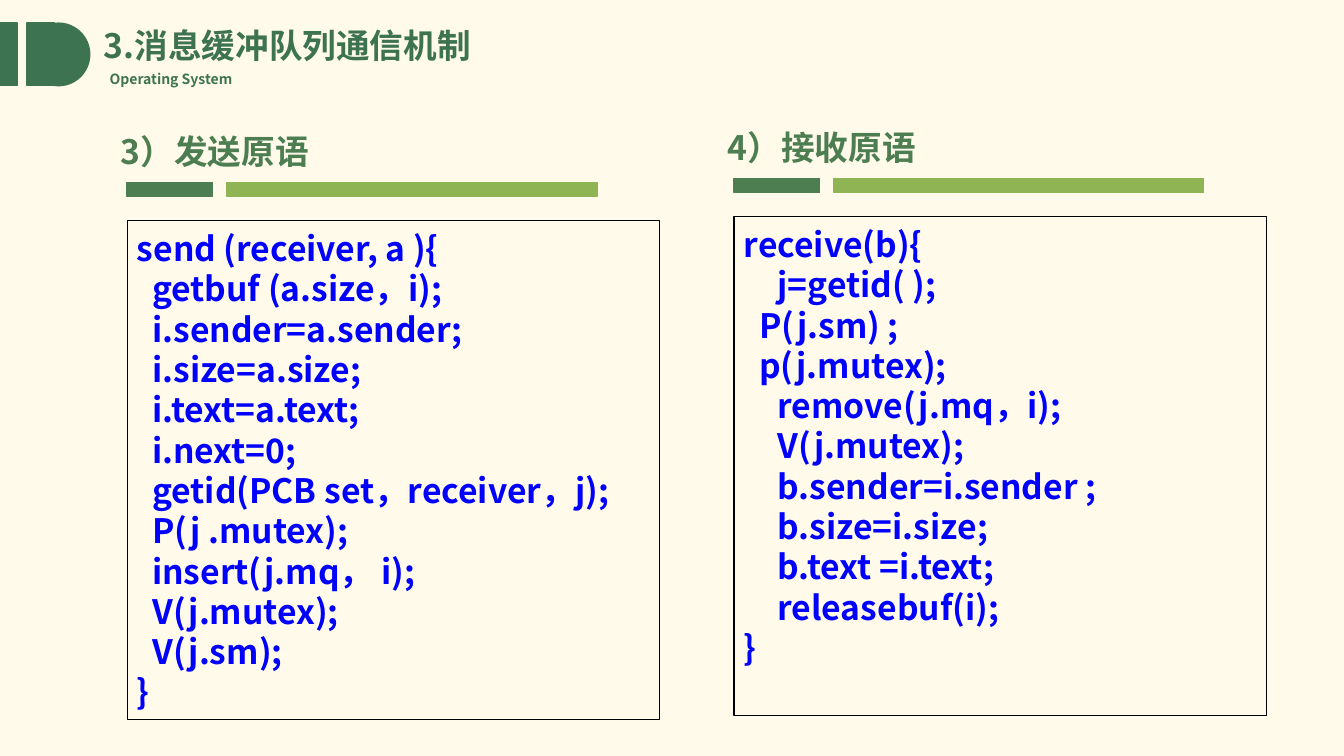
from pptx import Presentation
from pptx.dml.color import RGBColor
from pptx.enum.shapes import MSO_SHAPE as Kind
from pptx.enum.text import MSO_ANCHOR as Anchor, PP_ALIGN as Align
from pptx.oxml.ns import qn
from pptx.util import Emu, Pt

FONT = "Noto Sans CJK SC"
CREAM, PINE, LEAF, LIME = "FFFAEA", "3D7351", "4C7E51", "8EB453"
BLUE, BLACK = "0000FF", "000000"

SEND = """send (receiver, a ){
  getbuf (a.size，i);
  i.sender=a.sender;
  i.size=a.size;
  i.text=a.text;
  i.next=0;
  getid(PCB set，receiver，j);
  P(j .mutex);
  insert(j.mq， i);
  V(j.mutex);
  V(j.sm);
}"""
RECEIVE = """receive(b){
　j=getid( );
  P(j.sm) ;
  p(j.mutex);
　remove(j.mq，i);
　V(j.mutex);
　b.sender=i.sender ;
　b.size=i.size;
　b.text =i.text;
　releasebuf(i);
}"""


def px(n):
    """Length in EMU, at 100 px to the inch."""
    return Emu(n * 9144)


def paint(fill, color):
    fill.solid()
    fill.fore_color.rgb = RGBColor.from_string(color)


def write(frame, text, size, color, space=None, wrap=True):
    """Fill a text frame, one bold run to a paragraph."""
    frame.word_wrap = wrap
    frame.margin_left = frame.margin_right = px(10)
    frame.margin_top, frame.margin_bottom = px(7), px(5)
    for i, line in enumerate(text.split("\n")):
        para = frame.add_paragraph() if i else frame.paragraphs[0]
        para.alignment = Align.LEFT
        para.line_spacing = space or Pt(size * 1.2)
        run = para.add_run()
        run.text = line
        font = run.font
        font.name, font.size, font.bold = FONT, Pt(size), True
        paint(font.fill, color)
        east = run._r.get_or_add_rPr().makeelement(qn("a:ea"), {"typeface": FONT})
        font._element.find(qn("a:latin")).addnext(east)


def block(slide, kind, box, fill, line, width=1):
    shape = slide.shapes.add_shape(kind, *map(px, box))
    shape.shadow.inherit = False
    if fill:
        paint(shape.fill, fill)
    else:
        shape.fill.background()
    paint(shape.line.fill, line)
    shape.line.width = Pt(width)
    return shape


def label(slide, box, text, size, color, wrap=True):
    frame = slide.shapes.add_textbox(*map(px, box)).text_frame
    write(frame, text, size, color, wrap=wrap)


def header(slide, top, title, sub):
    for kind, left, width in ((Kind.RECTANGLE, 0, 17),
                              (Kind.RECTANGLE, 27, 27),
                              (Kind.OVAL, 27, 62)):
        block(slide, kind, (left, top, width, 62), PINE, PINE)
    # The disc and its square back make one D-shaped tab.
    label(slide, (99, top + 40, 147, 27), sub, 10, PINE, wrap=False)
    head = slide.shapes.title
    head.left, head.top, head.width, head.height = map(px, (93, top - 2, 485, 50))
    write(head.text_frame, title, 24, PINE, space=0.9)
    head.text_frame.vertical_anchor = Anchor.MIDDLE


def panel(slide, left, top, title, code):
    """Heading, two-tone rule and framed code."""
    label(slide, (left - 16, top, 540, 50), title, 24, LEAF)
    for shift, width, color in ((0, 85, LEAF), (99, 367, LIME)):
        block(slide, Kind.RECTANGLE, (left + shift, top + 58, width, 14), color, color)
    frame = block(slide, Kind.RECTANGLE, (left, top + 96, 528, 495),
                  None, BLACK, 0.75).text_frame
    write(frame, code, 24, BLUE)
    frame.vertical_anchor = Anchor.TOP


def main():
    deck = Presentation()
    deck.slide_width, deck.slide_height = px(1333), px(750)
    slide = deck.slides.add_slide(deck.slide_layouts[5])
    paint(slide.background.fill, CREAM)
    header(slide, 23, "3.消息缓冲队列通信机制", "Operating System")
    panel(slide, 126, 123, "3）发送原语", SEND)
    panel(slide, 728, 119, "4）接收原语", RECEIVE)
    deck.save("out.pptx")


if __name__ == "__main__":
    main()
